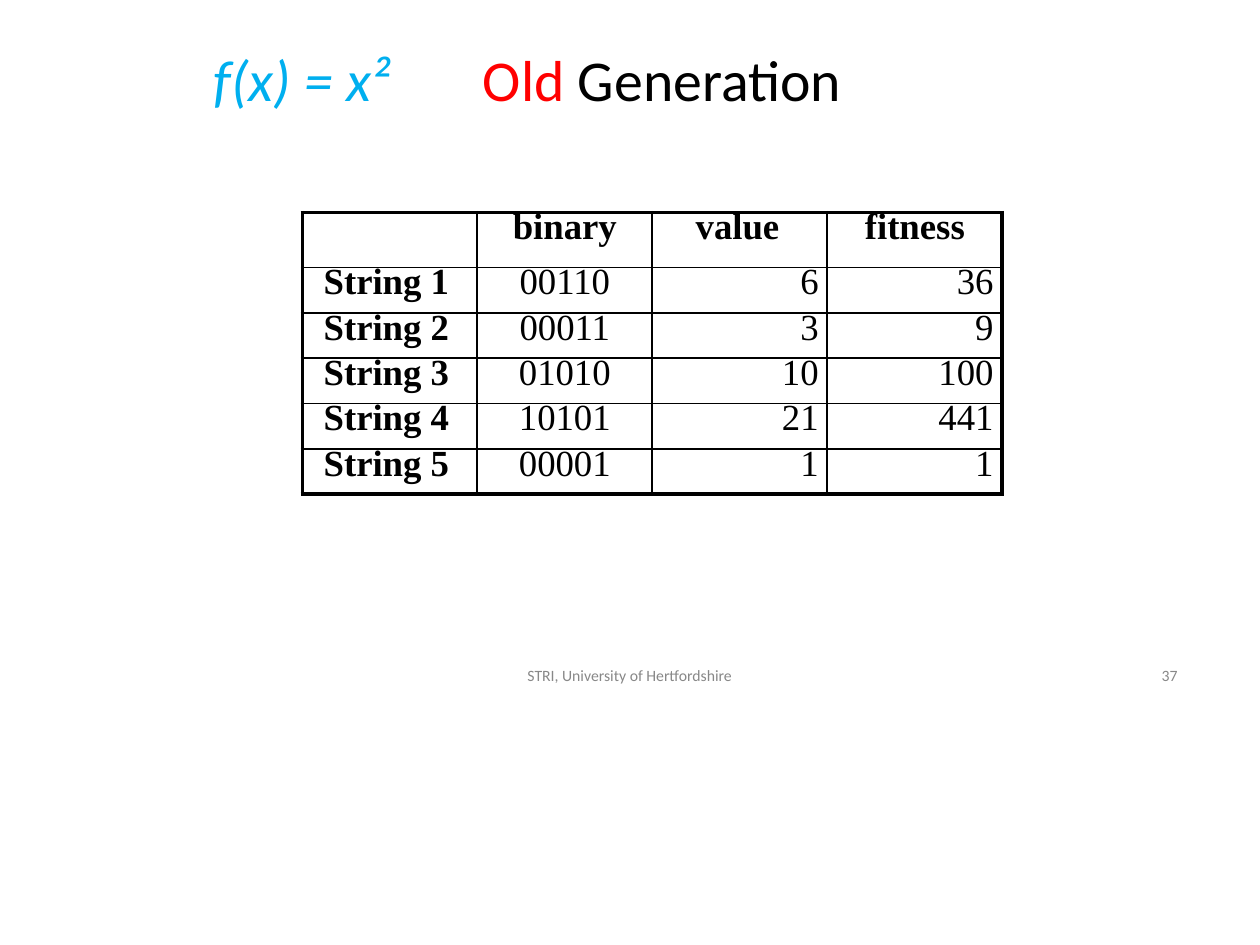
from dataclasses import dataclass

from lxml.etree import SubElement
from pptx import Presentation
from pptx.dml.color import RGBColor
from pptx.enum.text import MSO_AUTO_SIZE, PP_ALIGN
from pptx.oxml.ns import qn
from pptx.util import Inches, Pt

COLORS = {"ink": "000000", "formula": "00AFEF", "accent": "FF0000", "footer": "888888"}
TABLE_LEFT, TABLE_TOP = 3.2, 2.25
COLUMN_WIDTH, HEADER_HEIGHT, ROW_HEIGHT = 1.85, 0.58, 0.48
THICK, THIN = 3, 1.5
RIGHT_PADDING = (0.3, 0, 0.09, 0.09)
BODY_ALIGNMENT = (PP_ALIGN.RIGHT, PP_ALIGN.CENTER, PP_ALIGN.RIGHT, PP_ALIGN.RIGHT)
HEADER_INDENT = (0, 0, 0.46, 0.4)
ROWS = [
    ("", "binary", "value", "fitness"),
    ("String 1", "00110", "6", "36"),
    ("String 2", "00011", "3", "9"),
    ("String 3", "01010", "10", "100"),
    ("String 4", "10101", "21", "441"),
    ("String 5", "00001", "1", "1"),
]


@dataclass
class Label:
    """A line of text made of (wording, colour name) pieces."""

    pieces: tuple
    left: float
    top: float
    width: float
    height: float
    size: float
    indent: float = 0.01
    italic: bool = False
    line_spacing: float | None = None


LABELS = [
    Label((("STRI, University of Hertfordshire", "footer"),),
          5.57, 7.07, 2.2, 0.17, 12, line_spacing=12.4),
    Label((("37", "footer"),), 12.25, 7.07, 0.34, 0.17, 12, 0.04, line_spacing=12.4),
    Label((("f(x) = x²", "formula"),), 2.25, 0.46, 1.9, 0.76, 44, italic=True),
    Label((("Old ", "accent"), ("Generation", "ink")), 5.1, 0.46, 3.83, 0.76, 44),
]


def add_label(slide, label: Label) -> None:
    """Add a text box holding one label."""
    shape = slide.shapes.add_textbox(
        *(Inches(length) for length in (label.left, label.top, label.width, label.height)))
    frame = shape.text_frame
    frame.word_wrap = True
    frame.auto_size = MSO_AUTO_SIZE.SHAPE_TO_FIT_TEXT
    frame.margin_top = frame.margin_right = frame.margin_bottom = 0
    frame.margin_left = Inches(label.indent)
    paragraph = frame.paragraphs[0]
    paragraph.font.name = "Calibri"
    paragraph.font.size = Pt(label.size)
    paragraph.font.italic = label.italic
    if label.line_spacing:
        paragraph.line_spacing = Pt(label.line_spacing)
    else:
        paragraph.space_before = Pt(1.1)
    for wording, color in label.pieces:
        run = paragraph.add_run()
        run.text = wording
        run.font.color.rgb = RGBColor.from_string(COLORS[color])


def add_borders(cell, row: int, column: int) -> None:
    """Rule a cell, with thick lines on the outside of the table."""
    outer_edges = {
        "a:lnL": column == 0,
        "a:lnR": column == len(ROWS[0]) - 1,
        "a:lnT": row == 0,
        "a:lnB": row == len(ROWS) - 1,
    }
    properties = cell._tc.get_or_add_tcPr()
    for tag, outer in outer_edges.items():
        line = SubElement(properties, qn(tag), w=str(Pt(THICK if outer else THIN)))
        fill = SubElement(line, qn("a:solidFill"))
        SubElement(fill, qn("a:srgbClr"), val=COLORS["ink"])


def fill_cell(cell, row: int, column: int) -> None:
    """Write and format one table cell."""
    header = row == 0
    add_borders(cell, row, column)
    cell.fill.background()
    cell.margin_top, cell.margin_bottom = Inches(0.04), 0
    cell.margin_left = Inches(HEADER_INDENT[column] if header else 0)
    cell.margin_right = Inches(0 if header else RIGHT_PADDING[column])
    cell.text = ROWS[row][column]
    paragraph = cell.text_frame.paragraphs[0]
    paragraph.alignment = BODY_ALIGNMENT[column]
    if header and HEADER_INDENT[column]:
        paragraph.alignment = PP_ALIGN.LEFT
    paragraph.line_spacing = Pt(23.9)
    paragraph.space_before = Pt(3)
    paragraph.font.name = "Times New Roman"
    paragraph.font.size = Pt(28)
    paragraph.font.bold = header or column == 0
    paragraph.font.color.rgb = RGBColor.from_string(COLORS["ink"])


def add_generation_table(slide) -> None:
    """Add the table of strings and their fitness."""
    row_count, column_count = len(ROWS), len(ROWS[0])
    height = HEADER_HEIGHT + ROW_HEIGHT * (row_count - 1)
    table = slide.shapes.add_table(
        row_count, column_count, Inches(TABLE_LEFT), Inches(TABLE_TOP),
        Inches(COLUMN_WIDTH * column_count), Inches(height)).table
    table.horz_banding = False
    table.first_row = False
    for row in range(row_count):
        table.rows[row].height = Inches(ROW_HEIGHT if row else HEADER_HEIGHT)
        for column in range(column_count):
            fill_cell(table.cell(row, column), row, column)


def main() -> None:
    """Build and save the slide."""
    presentation = Presentation()
    presentation.slide_width, presentation.slide_height = Inches(13.33), Inches(10)
    slide = presentation.slides.add_slide(presentation.slide_layouts[6])
    for label in LABELS:
        add_label(slide, label)
    add_generation_table(slide)
    presentation.save("out.pptx")


main()
